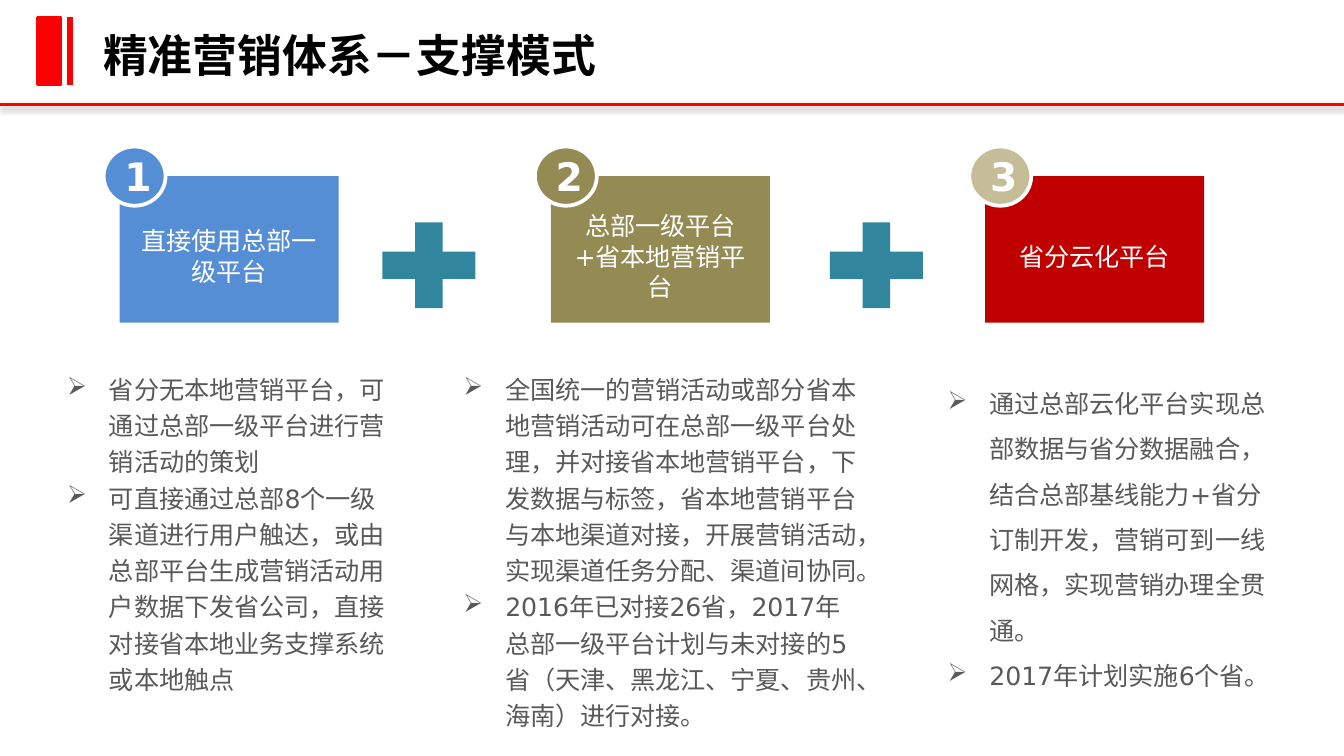
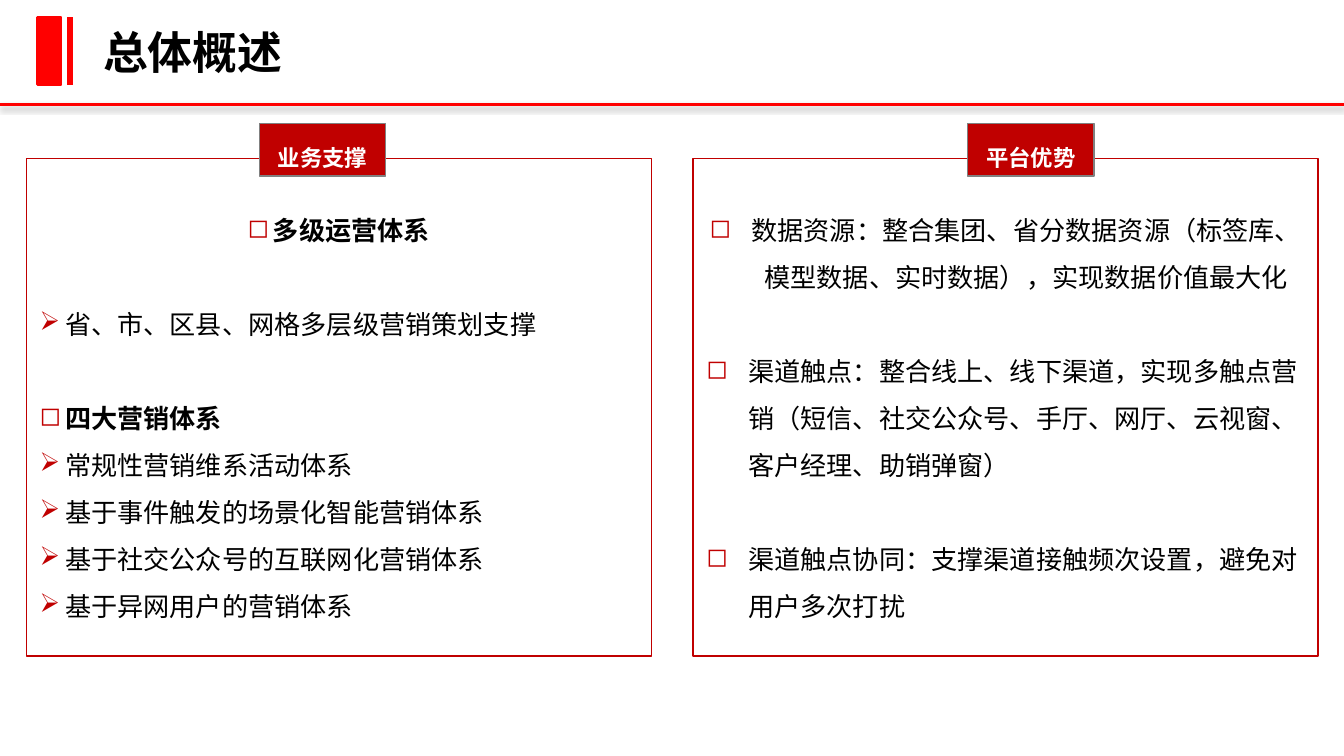
from lxml import etree
from pptx import Presentation
from pptx import util as u
from pptx.dml.color import RGBColor
from pptx.enum import shapes, text
from pptx.oxml import ns

BODY_FONT, TITLE_FONT = "DejaVu Sans", "Noto Sans CJK SC"
RED, DARK_RED, WHITE, BLACK, GREY = "FF0000", "C00000", "FFFFFF", "000000", "595959"
SQUARE, ARROW = "◻", "➢"
TITLE = {"name": TITLE_FONT, "size": u.Pt(24), "bold": True}
NUMBER = {"name": BODY_FONT, "size": u.Pt(21), "bold": True}
LABEL = {"name": BODY_FONT, "size": u.Pt(12), "bold": True}
MODE = {"name": BODY_FONT, "size": u.Pt(13.5), "bold": False}
PANEL = {"name": BODY_FONT, "size": u.Pt(14), "bold": False}
HEADING = {**PANEL, "bold": True}
CENTRED = {"alignment": text.PP_ALIGN.CENTER}
TOP, MIDDLE = text.MSO_ANCHOR.TOP, text.MSO_ANCHOR.MIDDLE
BLANK_LINE = u.Pt(25.2)


def colour(code):
    return RGBColor.from_string(code)


def set_all(target, values):
    for name, value in values.items():
        setattr(target, name, value)


def add_xml(parent, tag, **attributes):
    return etree.SubElement(parent, ns.qn(tag), attributes)


def place(left, top, width, height):
    return [u.Cm(length) for length in (left, top, width, height)]


def set_frame(box, anchor, insets):
    """Set anchor and the left, top, right and bottom insets in cm."""
    frame = box.text_frame
    sides = ("margin_left", "margin_top", "margin_right", "margin_bottom")
    set_all(frame, {"word_wrap": True, "vertical_anchor": anchor})
    set_all(frame, dict(zip(sides, map(u.Cm, insets))))
    return frame


def write(para, words, font, ink, layout=None):
    set_all(para, layout or {})
    span = para.add_run()
    span.text = words
    set_all(span.font, font)
    span.font.color.rgb = colour(ink)
    add_xml(span.font._element, "a:ea", typeface=font["name"])


def add_bullet(para, mark, indent, ink=None):
    """Hang the paragraph by indent (cm) behind a bullet mark."""
    properties = para._p.get_or_add_pPr()
    properties.set("marL", str(u.Cm(indent)))
    properties.set("indent", str(-u.Cm(indent)))
    if ink:
        add_xml(add_xml(properties, "a:buClr"), "a:srgbClr", val=ink)
    add_xml(properties, "a:buChar", char=mark)


def write_list(frame, items, indent, spacing, ink, bullet_ink=None):
    """Write items of (mark, words, font, space before)."""
    for index, (mark, words, font, gap) in enumerate(items):
        para = frame.add_paragraph() if index else frame.paragraphs[0]
        write(para, words, font, ink, {"line_spacing": spacing, "space_before": gap})
        add_bullet(para, mark, indent, bullet_ink)


def add_block(page, kind, area, fill=None, line=None, weight=0.75):
    block = page.shapes.add_shape(kind, *place(*area))
    block.shadow.inherit = False
    if fill:
        block.fill.solid()
        block.fill.fore_color.rgb = colour(fill)
    else:
        block.fill.background()
    if line:
        block.line.color.rgb = colour(line)
        block.line.width = u.Pt(weight)
    else:
        block.line.fill.background()
    return block


def add_rule(page, start, end, weight):
    """Draw a red line and return its effect list."""
    points = [u.Cm(length) for length in (*start, *end)]
    rule = page.shapes.add_connector(shapes.MSO_CONNECTOR.STRAIGHT, *points)
    rule.line.color.rgb = colour(RED)
    rule.line.width = u.Pt(weight)
    return add_xml(rule._element.spPr, "a:effectLst")


def add_page(deck, title, title_top):
    page = deck.slides.add_slide(deck.slide_layouts[6])
    effects = add_rule(page, (0, 1.98), (25.4, 1.98), 1.5)
    shadow = add_xml(effects, "a:outerShdw", blurRad=str(u.Pt(3.1)),
                     dist=str(u.Pt(1.6)), dir="5400000", rotWithShape="0")
    add_xml(add_xml(shadow, "a:srgbClr", val=BLACK), "a:alpha", val="38000")
    add_block(page, shapes.MSO_SHAPE.RECTANGLE, (0.71, 0.33, 0.43, 1.27), RED, RED, 2)
    add_rule(page, (1.32, 0.33), (1.32, 1.6), 3)
    box = page.shapes.add_textbox(*place(1.7, title_top, 18.9, 1.35))
    frame = set_frame(box, MIDDLE, (0.25, 0.13, 0.25, 0.13))
    write(frame.paragraphs[0], title, TITLE, BLACK)
    return page


def add_mode(page, left, number, words, fill, badge_fill):
    """Add a coloured card with a numbered badge on its corner."""
    card = add_block(page, shapes.MSO_SHAPE.RECTANGLE, (left, 3.33, 4.14, 2.77), fill)
    frame = set_frame(card, MIDDLE, (0.25, 0.38, 0.25, 0.13))
    write(frame.paragraphs[0], words, MODE, WHITE, CENTRED)
    badge = add_block(page, shapes.MSO_SHAPE.OVAL, (left - 0.3, 2.77, 1.17, 1.12),
                      badge_fill, WHITE, 2)
    frame = set_frame(badge, MIDDLE, (0.13, 0, 0, 0))
    write(frame.paragraphs[0], str(number), NUMBER, WHITE, CENTRED)


def add_notes(page, area, spacing, notes):
    box = page.shapes.add_textbox(*place(*area))
    frame = set_frame(box, TOP, (0, 0.13, 0, 0.13))
    items = [(ARROW, note, MODE, 0) for note in notes]
    write_list(frame, items, 0.79, spacing, GREY)


def add_panel(page, left, items, indent):
    panel = add_block(page, shapes.MSO_SHAPE.RECTANGLE, (left, 3, 11.81, 9.4),
                      line=DARK_RED)
    frame = set_frame(panel, TOP, (0.25, 0.76, 0.25, 0.13))
    write_list(frame, items, indent, 1.5, BLACK, DARK_RED)


def add_label(page, left, words):
    label = add_block(page, shapes.MSO_SHAPE.RECTANGLE, (left, 2.34, 2.39, 0.99),
                      DARK_RED, "808080")
    frame = set_frame(label, TOP, (0.25, 0.13, 0.25, 0.13))
    write(frame.paragraphs[0], words, LABEL, WHITE, {**CENTRED, "line_spacing": 1.5})


def build_support_modes(deck):
    page = add_page(deck, "精准营销体系－支撑模式", 0.36)
    modes = [
        (2.26, "直接使用总部一级平台", "558ED5", "558ED5"),
        (10.41, "总部一级平台+省本地营销平台", "948A54", "948A54"),
        (18.62, "省分云化平台", DARK_RED, "C4BD97"),
    ]
    for number, (left, words, fill, badge_fill) in enumerate(modes, 1):
        add_mode(page, left, number, words, fill, badge_fill)
    add_notes(page, (1.27, 6.83, 6.1, 6.2), 1.2, [
        "省分无本地营销平台，可通过总部一级平台进行营销活动的策划",
        "可直接通过总部8个一级渠道进行用户触达，或由总部平台生成营销活动用户数据"
        "下发省公司，直接对接省本地业务支撑系统或本地触点",
    ])
    add_notes(page, (8.76, 6.83, 7.47, 7.32), 1.2, [
        "全国统一的营销活动或部分省本地营销活动可在总部一级平台处理，并对接省本地"
        "营销平台，下发数据与标签，省本地营销平台与本地渠道对接，开展营销活动，"
        "实现渠道任务分配、渠道间协同。",
        "2016年已对接26省，2017年总部一级平台计划与未对接的5省"
        "（天津、黑龙江、宁夏、贵州、海南）进行对接。",
    ])
    add_notes(page, (17.91, 6.93, 6.1, 6.2), 1.5, [
        "通过总部云化平台实现总部数据与省分数据融合，结合总部基线能力+省分订制开发，"
        "营销可到一线网格，实现营销办理全贯通。",
        "2017年计划实施6个省。",
    ])
    for left in (6.91, 15.37):
        add_block(page, shapes.MSO_SHAPE.MATH_PLUS, (left, 3.91, 2.39, 2.21), "31859C")


def build_overview(deck):
    page = add_page(deck, "总体概述", 0.3)
    add_panel(page, 0.5, [
        (SQUARE, "多级运营体系", HEADING, 0),
        (ARROW, "省、市、区县、网格多层级营销策划支撑", PANEL, BLANK_LINE),
        (SQUARE, "四大营销体系", HEADING, BLANK_LINE),
        (ARROW, "常规性营销维系活动体系", PANEL, 0),
        (ARROW, "基于事件触发的场景化智能营销体系", PANEL, 0),
        (ARROW, "基于社交公众号的互联网化营销体系", PANEL, 0),
        (ARROW, "基于异网用户的营销体系", PANEL, 0),
    ], 0.48)
    add_panel(page, 13.1, [
        (SQUARE, "数据资源：整合集团、省分数据资源（标签库、模型数据、实时数据），"
                 "实现数据价值最大化", PANEL, 0),
        (SQUARE, "渠道触点：整合线上、线下渠道，实现多触点营销（短信、社交公众号、"
                 "手厅、网厅、云视窗、客户经理、助销弹窗）", PANEL, BLANK_LINE),
        (SQUARE, "渠道触点协同：支撑渠道接触频次设置，避免对用户多次打扰",
         PANEL, BLANK_LINE),
    ], 0.79)
    add_label(page, 4.9, "业务支撑")
    add_label(page, 18.29, "平台优势")


def main():
    deck = Presentation()
    deck.slide_width, deck.slide_height = u.Cm(25.4), u.Cm(14.29)
    build_support_modes(deck)
    build_overview(deck)
    deck.save("out.pptx")


if __name__ == "__main__":
    main()
